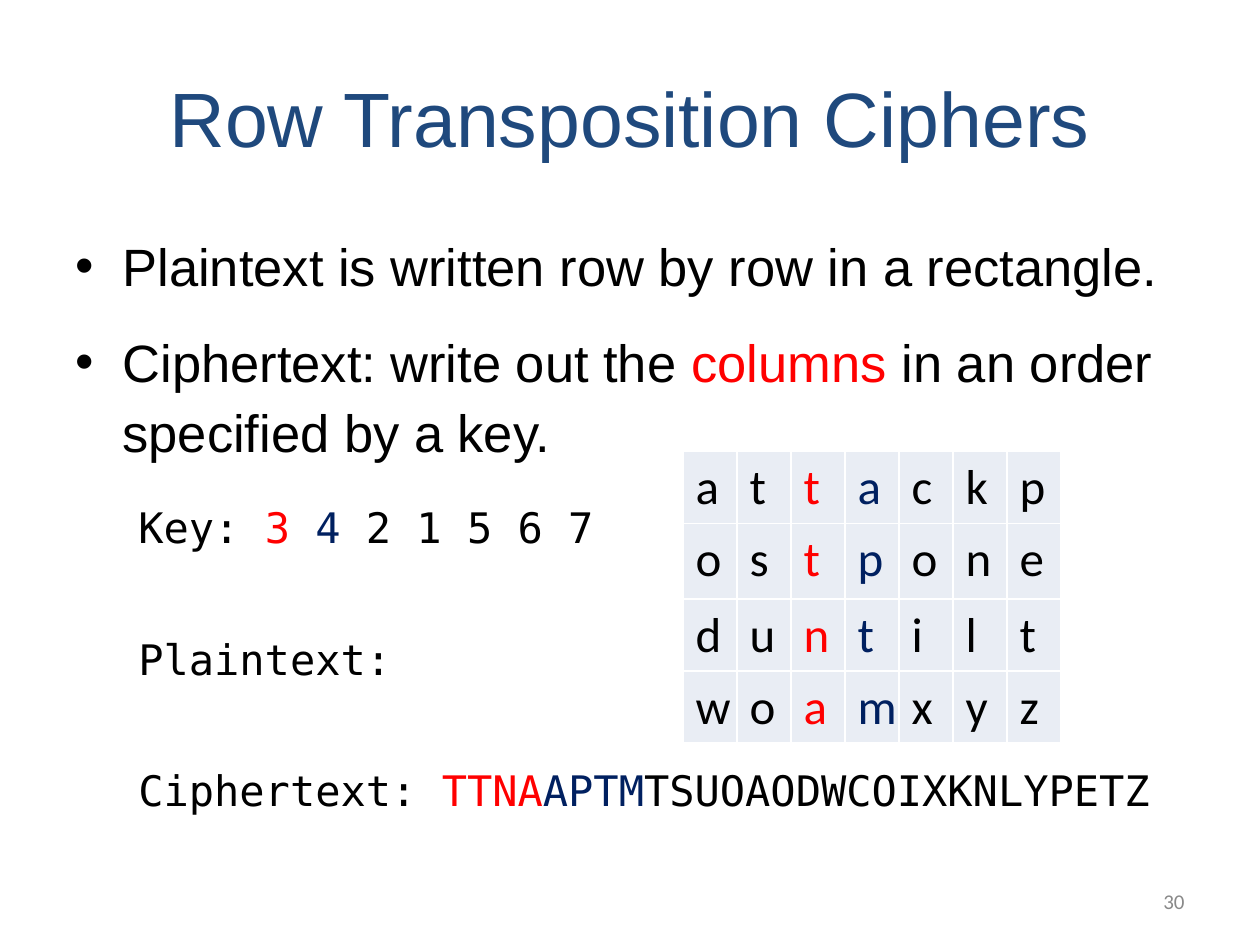
from lxml import etree
from pptx import Presentation
from pptx.dml.color import RGBColor
from pptx.enum.text import MSO_ANCHOR, PP_ALIGN
from pptx.oxml.ns import qn
from pptx.util import Cm, Pt

CENTER, LEFT, RIGHT = PP_ALIGN.CENTER, PP_ALIGN.LEFT, PP_ALIGN.RIGHT
TOP, MIDDLE = MSO_ANCHOR.TOP, MSO_ANCHOR.MIDDLE
BLACK, RED, NAVY, WHITE = "000000", "FF0000", "002060", "FFFFFF"
TITLE_BLUE, GREY, CELL_FILL = "1F497D", "898989", "E9EDF4"
SANS, MONO, TABLE_FONT = "Arial", "DejaVu Sans Mono", "Calibri"

BULLETS = [
    [("Plaintext is written row by row in a rectangle.", BLACK)],
    [("Ciphertext: write out the ", BLACK), ("columns", RED),
     (" in an order specified by a key.", BLACK)],
]
EXAMPLE = [
    [("Key: ", BLACK), ("3 ", RED), ("4", NAVY), (" 2 1 5 6 7", BLACK)],
    [("Plaintext:", BLACK)],
    [("Ciphertext: ", BLACK), ("TTNA", RED), ("APTM", NAVY),
     ("TSUOAODWCOIXKNLYPETZ", BLACK)],
]
GRID = ["attackp", "ostpone", "duntilt", "woamxyz"]
ROW_HEIGHTS = [1.45, 1.53, 1.45, 1.45]
COLUMN_COLORS = {2: RED, 3: NAVY}


def rgb(value):
    """Turn a hex string into a colour."""
    return RGBColor.from_string(value)


def add_runs(p, runs, font, size):
    """Add coloured runs to a paragraph."""
    for text, color in runs:
        r = p.add_run()
        r.text = text
        r.font.name = font
        r.font.size = Pt(size)
        r.font.color.rgb = rgb(color)


def add_frame(s, left, top, width, height, anchor):
    """Add a wrapping text box and return its text frame."""
    tf = s.shapes.add_textbox(Cm(left), Cm(top), Cm(width), Cm(height)).text_frame
    tf.word_wrap = True
    tf.vertical_anchor = anchor
    return tf


def add_line(s, box, text, font, size, color, align):
    """Place a single line of text in the middle of a box."""
    p = add_frame(s, *box, MIDDLE).paragraphs[0]
    p.alignment = align
    add_runs(p, [(text, color)], font, size)


def format_paragraph(p, margin, indent, before, line, bullet=None):
    """Set the indents, spacing and bullet of a paragraph."""
    p.alignment = LEFT
    p.space_before = Pt(before)
    p.line_spacing = Pt(line)
    pPr = p._p.get_or_add_pPr()
    pPr.set("marL", str(Cm(margin)))
    pPr.set("indent", str(Cm(indent)))
    if bullet:
        etree.SubElement(pPr, qn("a:buFont")).set("typeface", SANS)
        etree.SubElement(pPr, qn("a:buChar")).set("char", bullet)
    else:
        etree.SubElement(pPr, qn("a:buNone"))


def add_body(s, box):
    """Place the bullets and the worked example in a box."""
    tf = add_frame(s, *box, TOP)
    p = tf.paragraphs[0]
    for i, runs in enumerate(BULLETS):
        p = p if i == 0 else tf.add_paragraph()
        format_paragraph(p, 0.95, -0.95, 15 if i else 0, 40, "•")
        add_runs(p, runs, SANS, 30)
    for i, runs in enumerate(EXAMPLE):
        p = tf.add_paragraph()
        format_paragraph(p, 2.06, -0.79, 47 if i else 23, 28)
        add_runs(p, runs, MONO, 24)


def add_borders(cell, color, width):
    """Draw the four borders of a cell."""
    tcPr = cell._tc.get_or_add_tcPr()
    for i, side in enumerate(("a:lnL", "a:lnR", "a:lnT", "a:lnB")):
        ln = etree.Element(qn(side), w=str(Pt(width)))
        fill = etree.SubElement(ln, qn("a:solidFill"))
        etree.SubElement(fill, qn("a:srgbClr")).set("val", color)
        tcPr.insert(i, ln)


def add_grid(s, left, top, width):
    """Place the letter rectangle with its highlighted columns."""
    n = len(GRID[0])
    table = s.shapes.add_table(len(GRID), n, Cm(left), Cm(top), Cm(width),
                               Cm(sum(ROW_HEIGHTS))).table
    table.first_row = table.horz_banding = False
    for column in table.columns:
        column.width = Cm(width / n)
    for i, (letters, height) in enumerate(zip(GRID, ROW_HEIGHTS)):
        table.rows[i].height = Cm(height)
        for j, letter in enumerate(letters):
            cell = table.cell(i, j)
            cell.fill.solid()
            cell.fill.fore_color.rgb = rgb(CELL_FILL)
            add_borders(cell, WHITE, 1)
            add_runs(cell.text_frame.paragraphs[0],
                     [(letter, COLUMN_COLORS.get(j, BLACK))], TABLE_FONT, 28)


def main():
    """Build and save the slide."""
    prs = Presentation()
    prs.slide_width, prs.slide_height = Cm(25.4), Cm(19.05)
    s = prs.slides.add_slide(prs.slide_layouts[6])
    add_line(s, (1.27, 0.76, 22.86, 3.18), "Row Transposition Ciphers",
             SANS, 44, TITLE_BLUE, CENTER)
    add_body(s, (1.27, 4.45, 22.86, 12.57))
    add_grid(s, 13.77, 9.1, 7.62)
    add_line(s, (18.2, 17.66, 5.93, 1.01), "30", TABLE_FONT, 12, GREY, RIGHT)
    prs.save("out.pptx")


if __name__ == "__main__":
    main()
